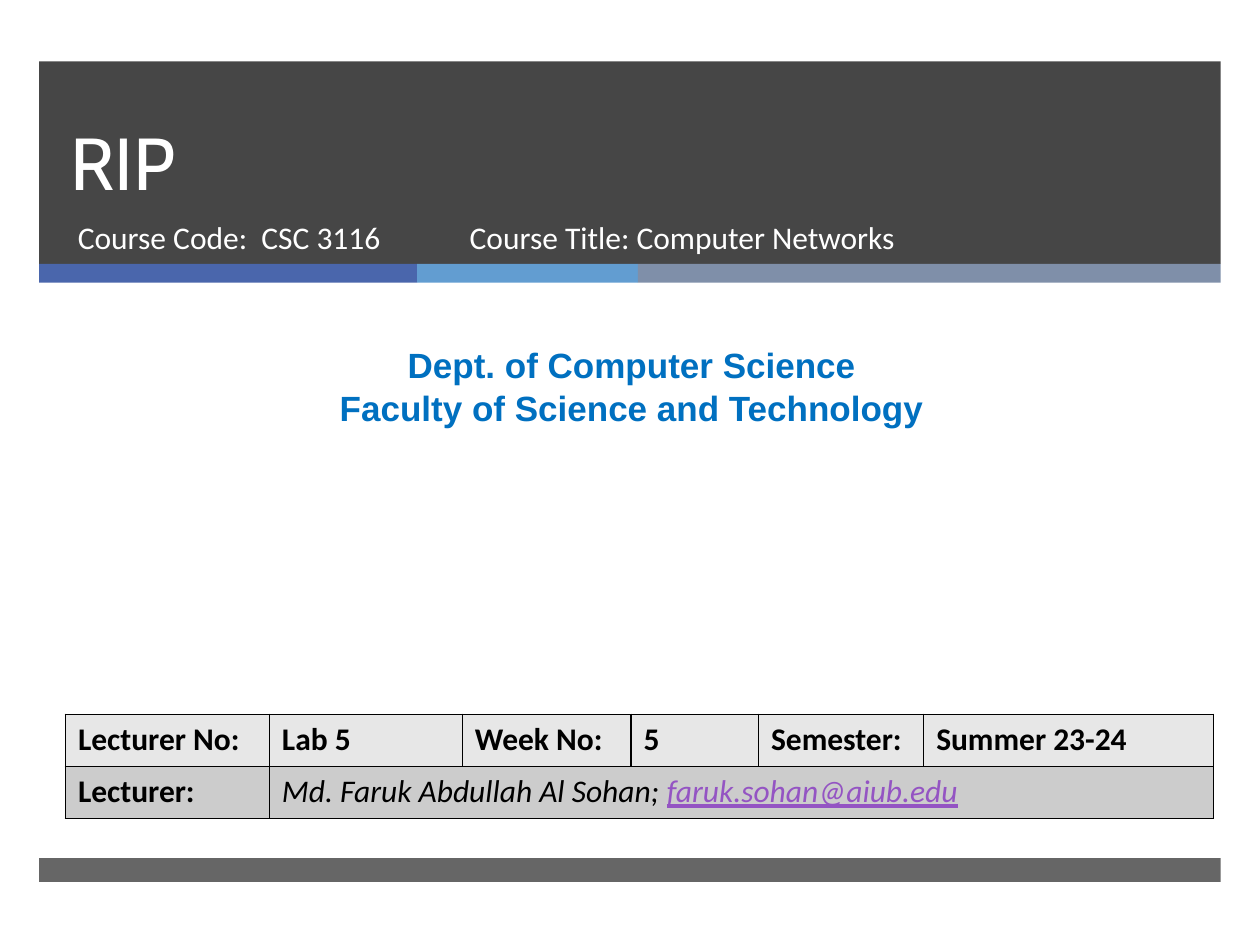
from dataclasses import dataclass

from lxml.etree import SubElement
from pptx import Presentation
from pptx.dml.color import RGBColor as RGB
from pptx.enum.shapes import MSO_SHAPE as SHAPE
from pptx.enum.text import MSO_ANCHOR as ANCHOR, PP_ALIGN as ALIGN
from pptx.oxml.ns import qn
from pptx.util import Cm, Pt


@dataclass(frozen=True)
class Theme:
    dark: str = "262626"
    strips: tuple = ("4A66AC", "629DD1", "7F8FA9")
    white: str = "FFFFFF"
    black: str = "000000"
    blue: str = "0070C0"
    link: str = "9454C3"
    rows: tuple = ("E7E7E7", "CCCCCC")
    title: int = 42
    title_line: int = 46
    heading: int = 20
    body: int = 18


class Deck:
    def __init__(self, prs, theme):
        self.theme = theme
        self.s = prs.slides.add_slide(prs.slide_layouts[6])

    def band(self, x, y, w, h, color, alpha=None):
        sp = self.s.shapes.add_shape(SHAPE.RECTANGLE, Cm(x), Cm(y), Cm(w), Cm(h))
        sp.shadow.inherit = False
        sp.fill.solid()
        sp.fill.fore_color.rgb = RGB.from_string(color)
        sp.line.fill.background()
        if alpha:
            clr = sp.fill._xPr.find(".//" + qn("a:srgbClr"))
            SubElement(clr, qn("a:alpha"), val=str(alpha * 1000))

    def run(self, p, text, color, **fmt):
        r = p.add_run()
        r.text = text
        for key, value in fmt.items():
            setattr(r.font, key, value)
        r.font.color.rgb = RGB.from_string(color)

    def text(self, x, y, w, h, lines, color, anchor=ANCHOR.TOP,
             align=ALIGN.LEFT, spacing=None, **fmt):
        tf = self.s.shapes.add_textbox(Cm(x), Cm(y), Cm(w), Cm(h)).text_frame
        tf.word_wrap = True
        tf.vertical_anchor = anchor
        for i, line in enumerate(lines):
            p = tf.add_paragraph() if i else tf.paragraphs[0]
            p.alignment = align
            p.line_spacing = spacing
            self.run(p, line, color, **fmt)

    def border(self, cell):
        tc_pr = cell._tc.get_or_add_tcPr()
        for i, side in enumerate(("lnL", "lnR", "lnT", "lnB")):
            ln = tc_pr.makeelement(qn("a:" + side), {"w": str(Pt(1))})
            fill = SubElement(ln, qn("a:solidFill"))
            SubElement(fill, qn("a:srgbClr"), val=self.theme.black)
            tc_pr.insert(i, ln)

    def table(self, x, y, widths, row_h, rows):
        """Each cell is a list of (text, color, format) runs."""
        n = len(rows)
        table = self.s.shapes.add_table(n, len(widths), Cm(x), Cm(y),
                                        Cm(sum(widths)), Cm(row_h * n)).table
        for col, w in zip(table.columns, widths):
            col.width = Cm(w)
        for i, row in enumerate(rows):
            table.rows[i].height = Cm(row_h)
            for j in range(len(widths)):
                cell = table.cell(i, j)
                cell.fill.solid()
                cell.fill.fore_color.rgb = RGB.from_string(self.theme.rows[i])
                self.border(cell)
            for j, runs in enumerate(row):
                p = table.cell(i, j).text_frame.paragraphs[0]
                for text, color, fmt in runs:
                    self.run(p, text, color, name="Calibri",
                             size=Pt(self.theme.body), **fmt)
            if len(row) < len(widths):
                table.cell(i, len(row) - 1).merge(table.cell(i, len(widths) - 1))


def main():
    prs = Presentation()
    prs.slide_width, prs.slide_height = Cm(25.4), Cm(19.05)
    t = Theme()
    deck = Deck(prs, t)

    # Header, colour strips and footer
    left, widths = 0.79, (7.62, 4.45, 11.75)
    full = sum(widths)
    deck.band(left, 1.24, full, 4.08, t.dark, alpha=85)
    x = left
    for w, color in zip(widths, t.strips):
        deck.band(x, 5.32, w, 0.38, color)
        x += w
    deck.band(left, 17.3, full, 0.48, t.dark, alpha=70)

    # Title and course details
    deck.text(1.17, 1.24, 21.69, 3.02, ["RIP"], t.white, anchor=ANCHOR.BOTTOM,
              spacing=Pt(t.title_line), name="Cabin", size=Pt(t.title))
    for x, w, line in ((1.32, 7.75, "Course Code:  CSC 3116"),
                       (9.22, 11.56, "Course Title: Computer Networks")):
        deck.text(x, 4.27, w, 1.35, [line], t.white,
                  name="Calibri", size=Pt(t.body))

    # Department
    deck.text(0.2, 6.81, 25.07, 1.96,
              ["Dept. of Computer Science", "Faculty of Science and Technology"],
              t.blue, align=ALIGN.CENTER, name="Arial", size=Pt(t.heading), bold=True)

    # Lecture details
    bold = {"bold": True}
    plain = {"bold": False, "italic": True}
    labels = ("Lecturer No:", "Lab 5", "Week No:", "5", "Semester:", "Summer 23-24")
    deck.table(1.32, 14.4, (4.11, 3.89, 3.4, 2.57, 3.33, 5.84), 1.05, [
        [[(label, t.black, bold)] for label in labels],
        [[("Lecturer:", t.black, bold)],
         [("Md. Faruk Abdullah Al Sohan; ", t.black, plain),
          ("faruk.sohan@aiub.edu", t.link, {**plain, "underline": True})]],
    ])

    prs.save("out.pptx")


if __name__ == "__main__":
    main()
